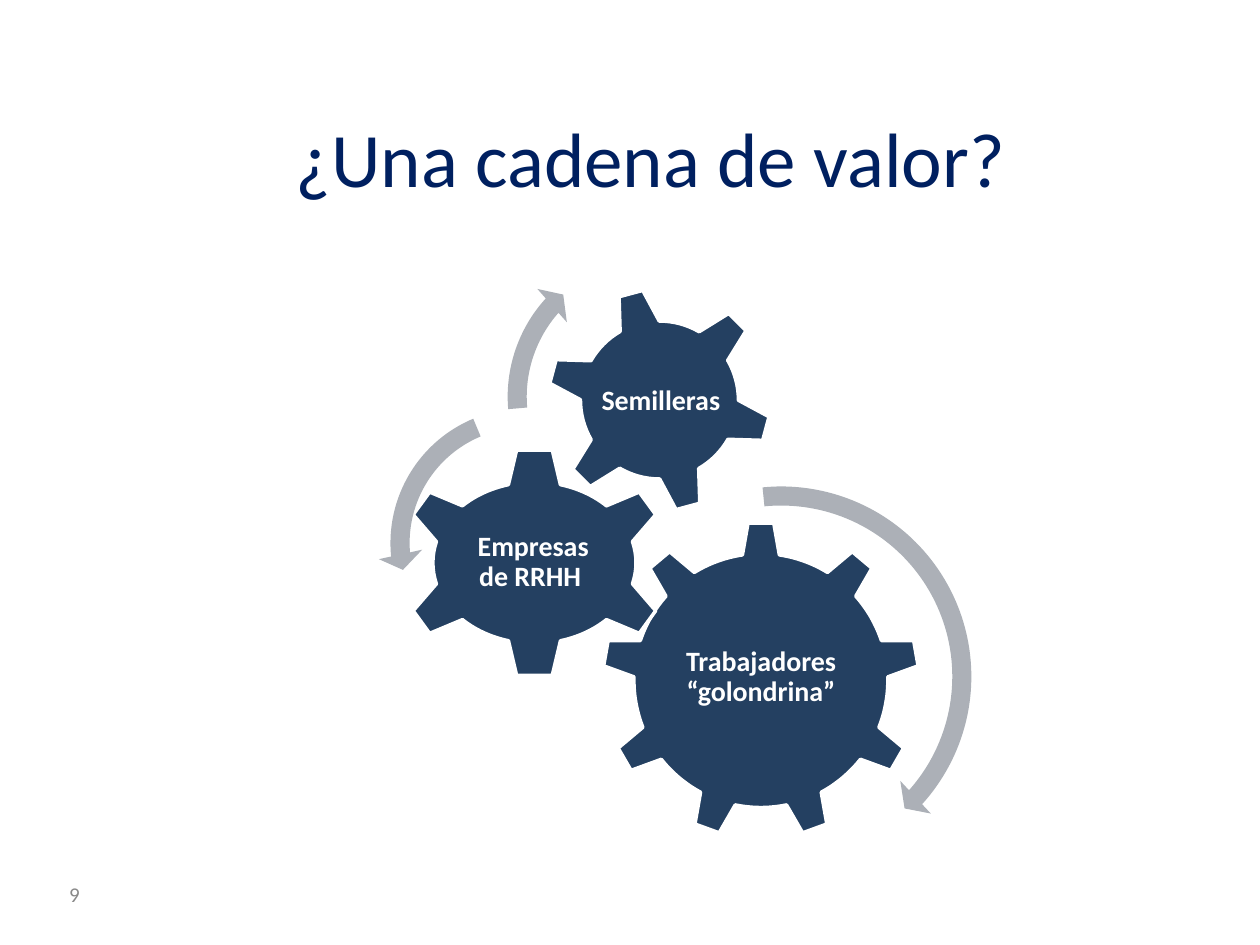
"""Build the slide of three interlocking gears that asks about a value chain."""
from dataclasses import dataclass

from pptx import Presentation
from pptx.dml.color import RGBColor
from pptx.enum.shapes import MSO_SHAPE
from pptx.enum.text import MSO_ANCHOR, PP_ALIGN
from pptx.util import Cm, Pt

GEAR_SIX, GEAR_NINE = MSO_SHAPE.GEAR_6, MSO_SHAPE.GEAR_9
ARROW, LEFT_ARROW = MSO_SHAPE.CIRCULAR_ARROW, MSO_SHAPE.LEFT_CIRCULAR_ARROW
TOP, MIDDLE = MSO_ANCHOR.TOP, MSO_ANCHOR.MIDDLE
CENTER, RIGHT = PP_ALIGN.CENTER, PP_ALIGN.RIGHT

FONT = "Calibri"
COLORS = {
    "title": "002060",
    "gear": "244061",
    "arrow": "ACB0B7",
    "white": "FFFFFF",
    "number": "898989",
}


@dataclass
class Area:
    """A rectangle in centimetres."""
    left: float
    top: float
    width: float
    height: float

    def lengths(self) -> tuple:
        """Return the rectangle as slide lengths."""
        return Cm(self.left), Cm(self.top), Cm(self.width), Cm(self.height)


@dataclass
class Label:
    """A line of text with its place and style."""
    text: str
    area: Area
    size: int
    color: str
    align: PP_ALIGN = CENTER
    anchor: MSO_ANCHOR = MIDDLE


@dataclass
class Gear:
    """A toothed wheel and its caption."""
    kind: MSO_SHAPE
    area: Area
    label: Label
    rotation: int = 0


@dataclass
class TurnArrow:
    """A curved arrow that shows the turning direction."""
    kind: MSO_SHAPE
    area: Area
    adjustments: tuple


TITLE = Label("¿Una cadena de valor?", Area(2.11, 2.11, 22.02, 3.18), 44, "title", anchor=TOP)
NUMBER = Label("9", Area(0.23, 17.35, 1.63, 1.35), 12, "number", align=RIGHT)

GEARS = [
    Gear(GEAR_NINE, Area(12.14, 10.52, 6.4, 6.4),
         Label("Trabajadores “golondrina”", Area(13.44, 12.01, 3.81, 3.28), 16, "white")),
    Gear(GEAR_SIX, Area(8.03, 9.02, 5.49, 4.65),
         Label("Empresas de RRHH ", Area(9.3, 10.19, 2.9, 2.29), 16, "white")),
    Gear(GEAR_SIX, Area(11.02, 5.79, 4.55, 4.55),
         Label("Semilleras", Area(12.04, 6.81, 2.57, 2.57), 16, "white"), rotation=345),
]

ARROWS = [
    TurnArrow(ARROW, Area(11.66, 9.55, 8.18, 8.18), (0.047, 2.99, 25.159, 158.618, 0.055)),
    TurnArrow(LEFT_ARROW, Area(7.62, 7.98, 5.94, 5.94), (0.065, 4.3, 104.891, 148.378, 0.075)),
    TurnArrow(ARROW, Area(9.98, 4.8, 6.4, 6.4), (0.06, 3.941, 133.138, 105.082, 0.07)),
]


def color_of(name: str) -> RGBColor:
    """Look up a named colour."""
    return RGBColor.from_string(COLORS[name])


def add_label(shapes, label: Label, caption: bool = False):
    """Add a text box; a caption is bold, tight and has thin margins."""
    box = shapes.add_textbox(*label.area.lengths())
    frame = box.text_frame
    frame.word_wrap = True
    frame.vertical_anchor = label.anchor
    para = frame.paragraphs[0]
    para.alignment = label.align
    span = para.add_run()
    span.text = label.text
    span.font.name = FONT
    span.font.size = Pt(label.size)
    span.font.color.rgb = color_of(label.color)
    if caption:
        span.font.bold = True
        para.line_spacing = 0.9
        frame.margin_left = frame.margin_right = Cm(0.05)
        frame.margin_top = frame.margin_bottom = Cm(0.05)


def add_filled(shapes, kind: MSO_SHAPE, area: Area, color: str):
    """Add a flat preset shape without an outline."""
    shape = shapes.add_shape(kind, *area.lengths())
    shape.shadow.inherit = False
    shape.fill.solid()
    shape.fill.fore_color.rgb = color_of(color)
    shape.line.fill.background()
    return shape


def add_gear(shapes, gear: Gear):
    """Add a white-edged gear with its caption on top."""
    wheel = add_filled(shapes, gear.kind, gear.area, "gear")
    wheel.rotation = gear.rotation
    wheel.line.color.rgb = color_of("white")
    wheel.line.width = Pt(2)
    add_label(shapes, gear.label, caption=True)


def add_turn_arrow(shapes, arrow: TurnArrow):
    """Add a curved arrow with its bend and head set."""
    shape = add_filled(shapes, arrow.kind, arrow.area, "arrow")
    for index, value in enumerate(arrow.adjustments):
        shape.adjustments[index] = value


def main():
    """Build and save the deck."""
    deck = Presentation()
    deck.slide_width, deck.slide_height = Cm(25.4), Cm(19.05)
    page = deck.slides.add_slide(deck.slide_layouts[6])
    add_label(page.shapes, TITLE)
    diagram = page.shapes.add_group_shape()
    for gear in GEARS:
        add_gear(diagram.shapes, gear)
    for arrow in ARROWS:
        add_turn_arrow(diagram.shapes, arrow)
    add_label(page.shapes, NUMBER)
    deck.save("out.pptx")


if __name__ == "__main__":
    main()
